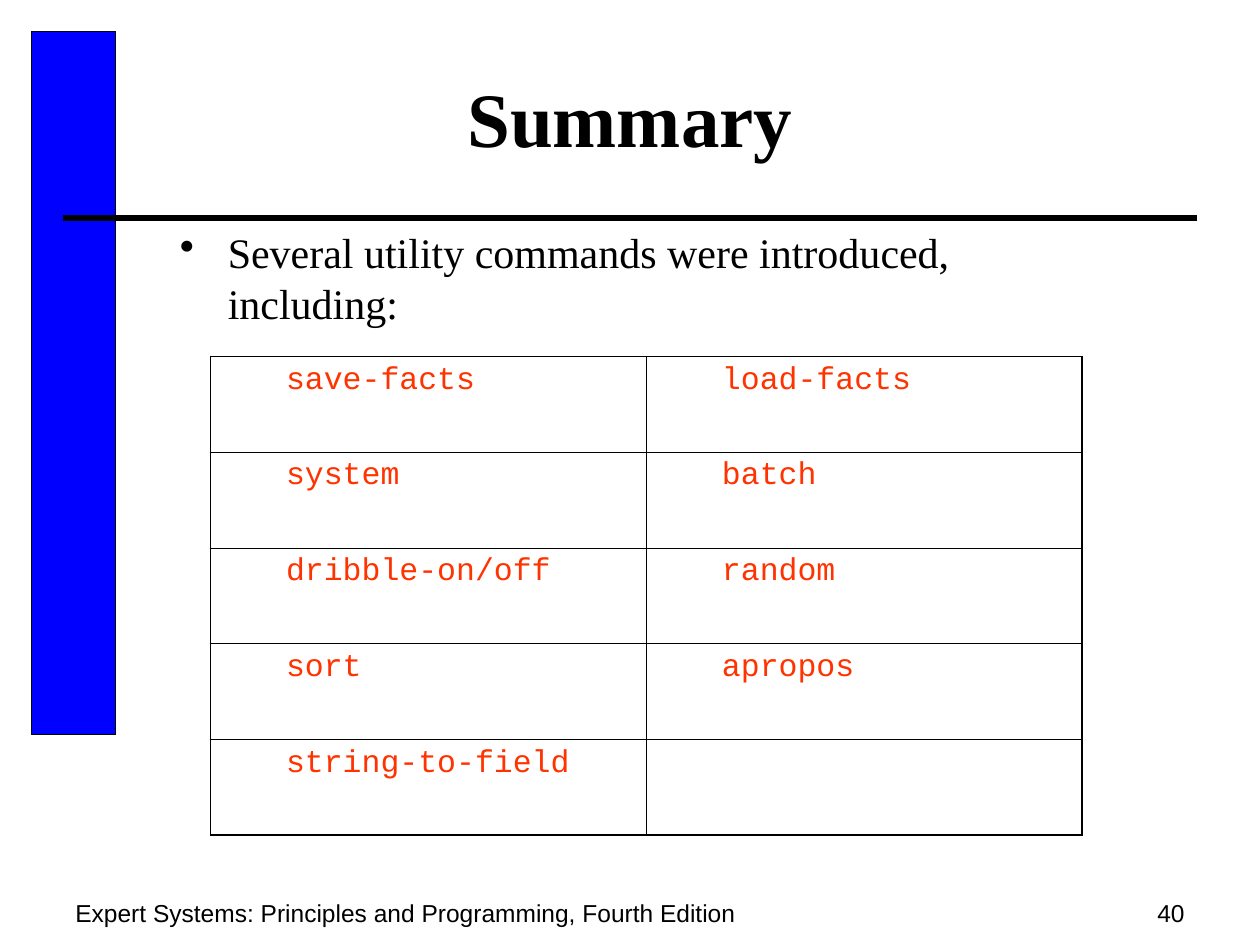
from dataclasses import dataclass

from lxml import etree
from pptx import Presentation
from pptx.dml.color import RGBColor
from pptx.enum.shapes import MSO_CONNECTOR, MSO_SHAPE
from pptx.enum.text import MSO_ANCHOR, PP_ALIGN
from pptx.oxml.ns import qn
from pptx.util import Inches, Pt

LEFT, CENTER, RIGHT = PP_ALIGN.LEFT, PP_ALIGN.CENTER, PP_ALIGN.RIGHT
TOP, MIDDLE = MSO_ANCHOR.TOP, MSO_ANCHOR.MIDDLE


@dataclass(frozen=True)
class Theme:
    ink: RGBColor = RGBColor(0, 0, 0)
    band: RGBColor = RGBColor(0, 0, 255)
    command: RGBColor = RGBColor(255, 51, 0)
    paper: RGBColor = RGBColor(255, 255, 255)
    serif: str = "Times New Roman"
    sans: str = "Arial"
    mono: str = "Courier New"
    title: int = 44
    body: int = 24
    code: int = 18
    footer: int = 14
    outer_line: float = 1.08
    inner_line: float = 0.45


theme = Theme()


def write(paragraph, text, **font_values):
    run = paragraph.add_run()
    run.text = text
    run.font.color.rgb = font_values.pop("color", theme.ink)
    for name, value in font_values.items():
        setattr(run.font, name, value)


def add_text(box, text, align=LEFT, anchor=TOP, **font_values):
    frame = slide.shapes.add_textbox(*map(Inches, box)).text_frame
    frame.word_wrap = True
    frame.vertical_anchor = anchor
    paragraph = frame.paragraphs[0]
    paragraph.alignment = align
    write(paragraph, text, **font_values)
    return paragraph


prs = Presentation()
prs.slide_width, prs.slide_height = Inches(10), Inches(7.5)
slide = prs.slides.add_slide(prs.slide_layouts[6])

# Title and bulleted statement
add_text((0.5, 0.3, 9, 1.25), "Summary", CENTER, MIDDLE,
         name=theme.serif, size=Pt(theme.title), bold=True)
statement = add_text((1.33, 1.75, 7.67, 1.25),
                     "Several utility commands were introduced, including:",
                     name=theme.serif, size=Pt(theme.body))
statement.space_before = Pt(6)
bullet = statement._p.get_or_add_pPr()
bullet.set("marL", str(Inches(0.38)))
bullet.set("indent", str(Inches(-0.38)))
etree.SubElement(bullet, qn("a:buChar"), char="•")

# Blue side band
band = slide.shapes.add_shape(MSO_SHAPE.RECTANGLE, Inches(0.25), Inches(0.25),
                              Inches(0.67), Inches(5.58))
band.shadow.inherit = False
band.fill.solid()
band.fill.fore_color.rgb = theme.band
band.line.color.rgb = theme.ink
band.line.width = Pt(0.75)

# Rule under the title
rule = slide.shapes.add_connector(MSO_CONNECTOR.STRAIGHT, Inches(0.5), Inches(1.73),
                                  Inches(9.5), Inches(1.73))
rule.line.color.rgb = theme.ink
rule.line.width = Pt(3)
etree.SubElement(rule._element.spPr, qn("a:effectLst"))

# Command table, with a heavier outer frame
commands = [
    ("save-facts", "load-facts"),
    ("system", "batch"),
    ("dribble-on/off", "random"),
    ("sort", "apropos"),
    ("string-to-field", ""),
]
last_row, last_col = len(commands) - 1, len(commands[0]) - 1
table = slide.shapes.add_table(len(commands), len(commands[0]), Inches(1.67),
                               Inches(2.83), Inches(6.92), Inches(3.8)).table
table.first_row = table.horz_banding = False
for r, row in enumerate(commands):
    for c, command in enumerate(row):
        cell = table.cell(r, c)
        paragraph = cell.text_frame.paragraphs[0]
        if command:
            paragraph.level = 1
            paragraph.space_before = Pt(4.5)
            paragraph._p.get_or_add_pPr().set("marL", str(Inches(0.5)))
            write(paragraph, command, name=theme.mono, size=Pt(theme.code),
                  color=theme.command)
        borders = {"lnL": c == 0, "lnR": c == last_col,
                   "lnT": r == 0, "lnB": r == last_row}
        properties = cell._tc.get_or_add_tcPr()
        for side, is_outer in borders.items():
            width = theme.outer_line if is_outer else theme.inner_line
            border = etree.SubElement(properties, qn(f"a:{side}"), w=str(Pt(width)))
            fill = etree.SubElement(border, qn("a:solidFill"))
            etree.SubElement(fill, qn("a:srgbClr"), val=str(theme.ink))
        cell.fill.solid()
        cell.fill.fore_color.rgb = theme.paper

# Footer and page number
footer_font = {"name": theme.sans, "size": Pt(theme.footer)}
add_text((0.5, 7.08, 6.67, 0.42),
         "Expert Systems: Principles and Programming, Fourth Edition", **footer_font)
add_text((7.17, 7.08, 2.33, 0.27), "40", RIGHT, **footer_font)

prs.save("out.pptx")
